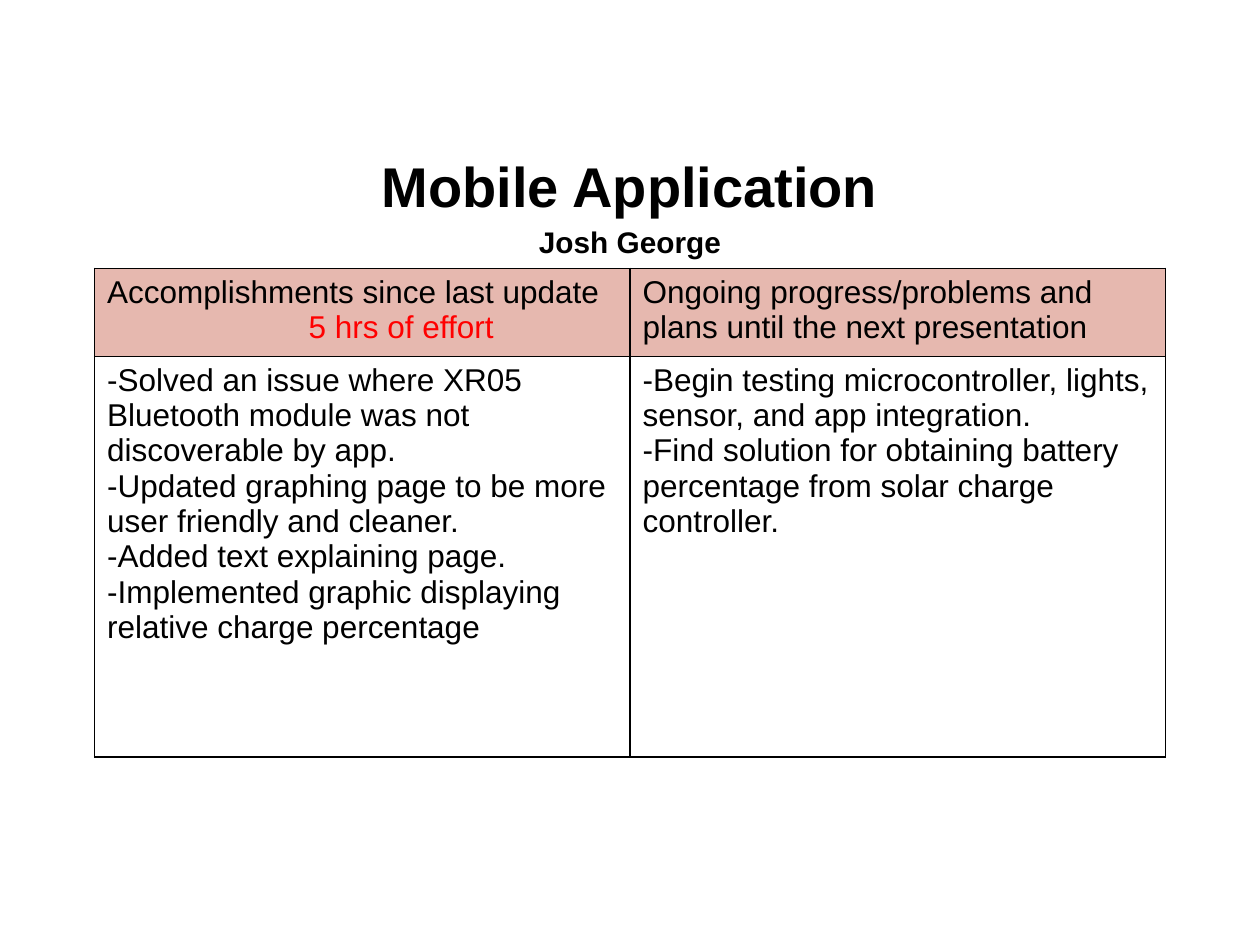
import pptx
import pptx.util
import pptx.dml.color
import pptx.enum.text
import lxml.etree
import pptx.oxml.ns

Inches, Pt = pptx.util.Inches, pptx.util.Pt

COLORS = {"text": "000000", "effort": "FF0000", "header": "E6B8AF", "border": "000000"}
FONT = "Arial"
BODY_SIZE = 18

# Content: title lines as (text, size); each cell is a list of (text, color, indent)
TITLE = [("Mobile Application", 32), ("Josh George", 17)]
HEADERS = [
    [("Accomplishments since last update", "text", 0), ("5 hrs of effort", "effort", 1.6)],
    [("Ongoing progress/problems and plans until the next presentation", "text", 0)],
]
ACCOMPLISHMENTS = [
    "-Solved an issue where XR05 Bluetooth module was not discoverable by app.",
    "-Updated graphing page to be more user friendly and cleaner.",
    "-Added text explaining page.",
    "-Implemented graphic displaying relative charge percentage",
]
PLANS = [
    "-Begin testing microcontroller, lights, sensor, and app integration.",
    "-Find solution for obtaining battery percentage from solar charge controller.",
]
ROWS = [HEADERS, [[(text, "text", 0) for text in items] for items in (ACCOMPLISHMENTS, PLANS)]]
ROW_HEIGHTS = [0.7, 3.18]
COLUMN_WIDTH = 4.25


def add_span(para, text, size, color, bold=False):
    span = para.add_run()
    span.text = text
    span.font.name = FONT
    span.font.size = Pt(size)
    span.font.bold = bold
    span.font.color.rgb = pptx.dml.color.RGBColor.from_string(COLORS[color])


def next_para(frame, index):
    return frame.add_paragraph() if index else frame.paragraphs[0]


def set_borders(cell):
    properties = cell._tc.get_or_add_tcPr()
    for position, side in enumerate(("lnL", "lnR", "lnT", "lnB")):
        line = lxml.etree.Element(pptx.oxml.ns.qn("a:" + side), w=str(Pt(1)))
        fill = lxml.etree.SubElement(line, pptx.oxml.ns.qn("a:solidFill"))
        lxml.etree.SubElement(fill, pptx.oxml.ns.qn("a:srgbClr"), val=COLORS["border"])
        properties.insert(position, line)


def fill_title(title):
    title.left, title.top, title.width, title.height = map(Inches, (0.5, 1.15, 9, 0.88))
    frame = title.text_frame
    frame.word_wrap = True
    frame.auto_size = pptx.enum.text.MSO_AUTO_SIZE.NONE
    frame.vertical_anchor = pptx.enum.text.MSO_ANCHOR.MIDDLE
    for index, (text, size) in enumerate(TITLE):
        para = next_para(frame, index)
        para.alignment = pptx.enum.text.PP_ALIGN.CENTER
        para.line_spacing = 1.15
        para.space_before = Pt(0)
        add_span(para, text, size, "text", bold=True)


def fill_cell(cell, lines, is_header):
    if is_header:
        cell.fill.solid()
        cell.fill.fore_color.rgb = pptx.dml.color.RGBColor.from_string(COLORS["header"])
    else:
        cell.fill.background()
    set_borders(cell)
    for index, (text, color, indent) in enumerate(lines):
        para = next_para(cell.text_frame, index)
        if indent:
            para._p.get_or_add_pPr().set("marL", str(Inches(indent)))
        add_span(para, text, BODY_SIZE, color)


def main():
    deck = pptx.Presentation()
    deck.slide_width, deck.slide_height = Inches(10), Inches(7.5)
    page = deck.slides.add_slide(deck.slide_layouts[5])
    fill_title(page.shapes.title)

    # Progress table
    table = page.shapes.add_table(
        len(ROWS), len(HEADERS), Inches(0.75), Inches(2.13),
        Inches(COLUMN_WIDTH * len(HEADERS)), Inches(sum(ROW_HEIGHTS))).table
    table.first_row = table.horz_banding = False
    for column in table.columns:
        column.width = Inches(COLUMN_WIDTH)
    for row_index, (cells, height) in enumerate(zip(ROWS, ROW_HEIGHTS)):
        table.rows[row_index].height = Inches(height)
        for column_index, lines in enumerate(cells):
            fill_cell(table.cell(row_index, column_index), lines, row_index == 0)

    deck.save("out.pptx")


if __name__ == "__main__":
    main()
